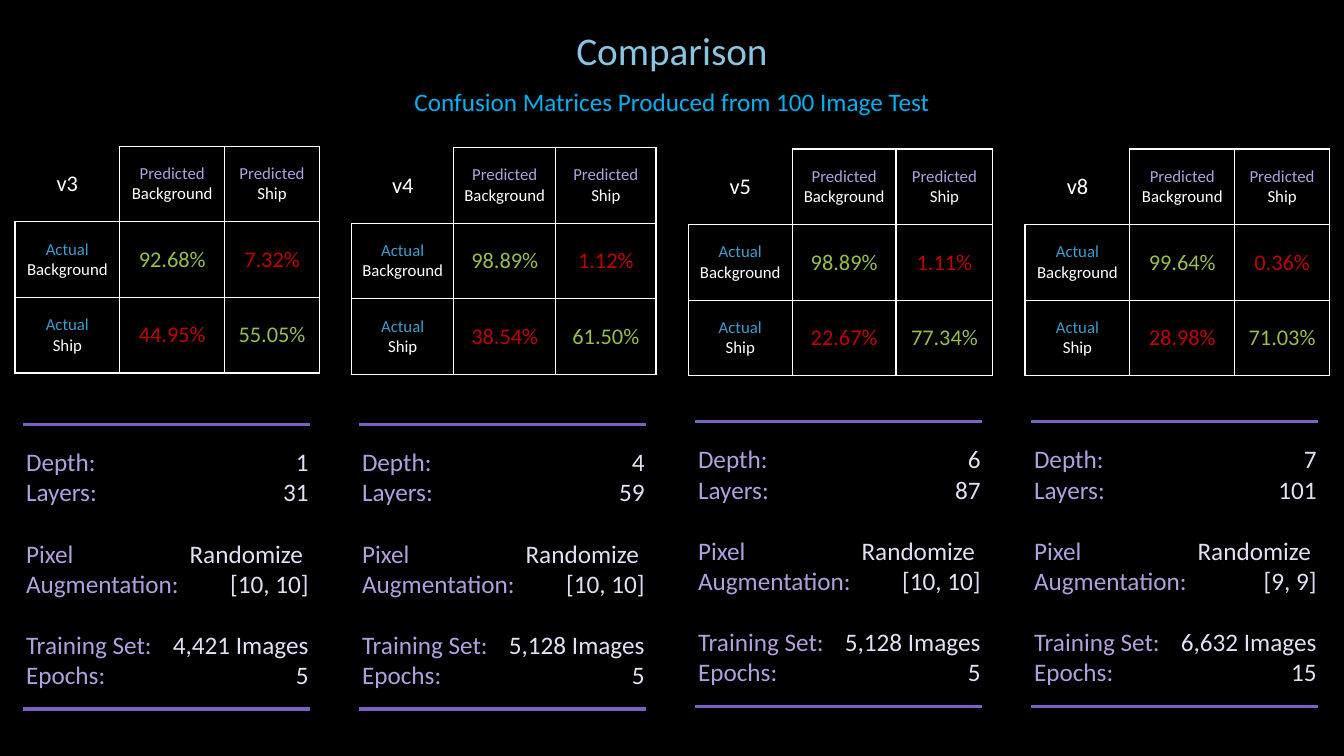
from collections import namedtuple

from lxml.etree import SubElement
from pptx import Presentation
from pptx.dml.color import RGBColor
from pptx.enum.shapes import MSO_CONNECTOR
from pptx.enum.text import MSO_ANCHOR, MSO_AUTO_SIZE, PP_ALIGN as Align
from pptx.oxml import parse_xml
from pptx.oxml.ns import nsdecls, qn
from pptx.util import Pt

FONT = "Calibri"
BLACK = RGBColor(0x00, 0x00, 0x00)
WHITE = RGBColor(0xFF, 0xFF, 0xFF)
TITLE_BLUE = RGBColor(0x8B, 0xC4, 0xE0)
SUBTITLE_BLUE = RGBColor(0x00, 0xB0, 0xF0)
ACTUAL_BLUE = RGBColor(0x3D, 0x9C, 0xCC)
LILAC = RGBColor(0xB0, 0xA0, 0xDD)
PALE_LILAC = RGBColor(0xE5, 0xDF, 0xF4)
RULE_PURPLE = RGBColor(0x7C, 0x60, 0xC6)
RIGHT_GREEN = RGBColor(0x97, 0xBE, 0x49)
WRONG_RED = RGBColor(0xC0, 0x00, 0x00)

CLASSES = ["Background", "Ship"]
SPEC_LABELS = ["Depth:", "Layers:", "Pixel Augmentation:", "Training Set:", "Epochs:"]
SPEC_GAP = 22  # one line of 18 pt text

Model = namedtuple("Model", "name matrix_top columns rates specs_top specs")
MODELS = [
    Model("v3", 104.4, (74.9, 74.9, 67.7),
          [("92.68%", "7.32%"), ("44.95%", "55.05%")], 315.4,
          ["1", "31", "Randomize ", "[10, 10]", "4,421 Images", "5"]),
    Model("v4", 105.4, (72.9, 72.9, 71.6),
          [("98.89%", "1.12%"), ("38.54%", "61.50%")], 315.4,
          ["4", "59", "Randomize ", "[10, 10]", "5,128 Images", "5"]),
    Model("v5", 106.4, (74.2, 74.2, 69.1),
          [("98.89%", "1.11%"), ("22.67%", "77.34%")], 313.4,
          ["6", "87", "Randomize ", "[10, 10]", "5,128 Images", "5"]),
    Model("v8", 106.4, (74.9, 74.9, 67.7),
          [("99.64%", "0.36%"), ("28.98%", "71.03%")], 313.4,
          ["7", "101", "Randomize ", "[9, 9]", "6,632 Images", "15"]),
]


def fill_text(frame, lines, size, align, gaps=()):
    """Write (text, colour) lines; those whose index is in gaps get space before."""
    for index, (text, colour) in enumerate(lines):
        para = frame.paragraphs[0] if index == 0 else frame.add_paragraph()
        para.alignment = align
        if index in gaps:
            para.space_before = Pt(SPEC_GAP)
        span = para.add_run()
        span.text = text
        span.font.name = FONT
        span.font.size = Pt(size)
        span.font.color.rgb = colour


def add_text(shapes, place, lines, size, align, wrap=True, gaps=()):
    box = shapes.add_textbox(*map(Pt, place))
    box.text_frame.word_wrap = wrap
    box.text_frame.auto_size = MSO_AUTO_SIZE.SHAPE_TO_FIT_TEXT
    fill_text(box.text_frame, lines, size, align, gaps)


def add_rule(shapes, left, top, width):
    rule = shapes.add_connector(MSO_CONNECTOR.STRAIGHT, Pt(left), Pt(top),
                                Pt(left + width), Pt(top))
    rule.line.color.rgb = RULE_PURPLE
    rule.line.width = Pt(2.25)
    SubElement(rule._element.spPr, qn("a:effectLst"))


def set_borders(cell, hidden_sides):
    properties = cell._tc.get_or_add_tcPr()
    for index, side in enumerate("LRTB"):
        if side in hidden_sides:
            paint = "<a:noFill/>"
        else:
            paint = f'<a:solidFill><a:srgbClr val="{WHITE}"/></a:solidFill>'
        properties.insert(index, parse_xml(
            f'<a:ln{side} {nsdecls("a")} w="{Pt(1)}">{paint}</a:ln{side}>'))


def fill_cell(cell, lines, size, hidden_sides=""):
    cell.fill.background()
    cell.vertical_anchor = MSO_ANCHOR.MIDDLE
    fill_text(cell.text_frame, lines, size, Align.CENTER)
    set_borders(cell, hidden_sides)


def add_matrix(shapes, left, model):
    frame = shapes.add_table(3, 3, Pt(left), Pt(model.matrix_top),
                             Pt(sum(model.columns)), Pt(162))
    table = frame.table
    table.first_row = table.horz_banding = False
    for column, width in zip(table.columns, model.columns):
        column.width = Pt(width)
    for row in table.rows:
        row.height = Pt(54)

    fill_cell(table.cell(0, 0), [(model.name, WHITE)], 16, hidden_sides="LT")
    for index, name in enumerate(CLASSES, start=1):
        fill_cell(table.cell(0, index), [("Predicted", LILAC), (name, WHITE)], 12)
        fill_cell(table.cell(index, 0), [("Actual", ACTUAL_BLUE), (name, WHITE)], 12)
    for row, rates in enumerate(model.rates, start=1):
        for column, rate in enumerate(rates, start=1):
            colour = RIGHT_GREEN if row == column else WRONG_RED
            fill_cell(table.cell(row, column), [(rate, colour)], 16)


def add_specs(shapes, left, model):
    """Group the two rules with the label and value columns between them."""
    group = shapes.add_group_shape().shapes
    top = model.specs_top
    for offset in (191, -12):
        add_rule(group, left + 5, top + offset, 205.2)
    add_text(group, (left, top, 137.5, 181.4), [(label, LILAC) for label in SPEC_LABELS],
             18, Align.LEFT, gaps=(2, 3))
    add_text(group, (left + 78.5, top, 137.5, 181.4),
             [(value, PALE_LILAC) for value in model.specs], 18, Align.RIGHT, gaps=(2, 4))


def main():
    deck = Presentation()
    deck.slide_width, deck.slide_height = Pt(960), Pt(540)
    page = deck.slides.add_slide(deck.slide_layouts[6])
    page.background.fill.solid()
    page.background.fill.fore_color.rgb = BLACK

    add_text(page.shapes, (403.6, 15.1, 152.8, 41.2), [("Comparison", TITLE_BLUE)],
             28, Align.CENTER, wrap=False)
    add_text(page.shapes, (286.6, 57.8, 386.8, 29.1),
             [("Confusion Matrices Produced from 100 Image Test", SUBTITLE_BLUE)],
             18, Align.CENTER, wrap=False)
    for index, model in enumerate(MODELS):
        add_matrix(page.shapes, 10.7 + 240.5 * index, model)
        add_specs(page.shapes, 11.5 + 240 * index, model)
    deck.save("out.pptx")


if __name__ == "__main__":
    main()
